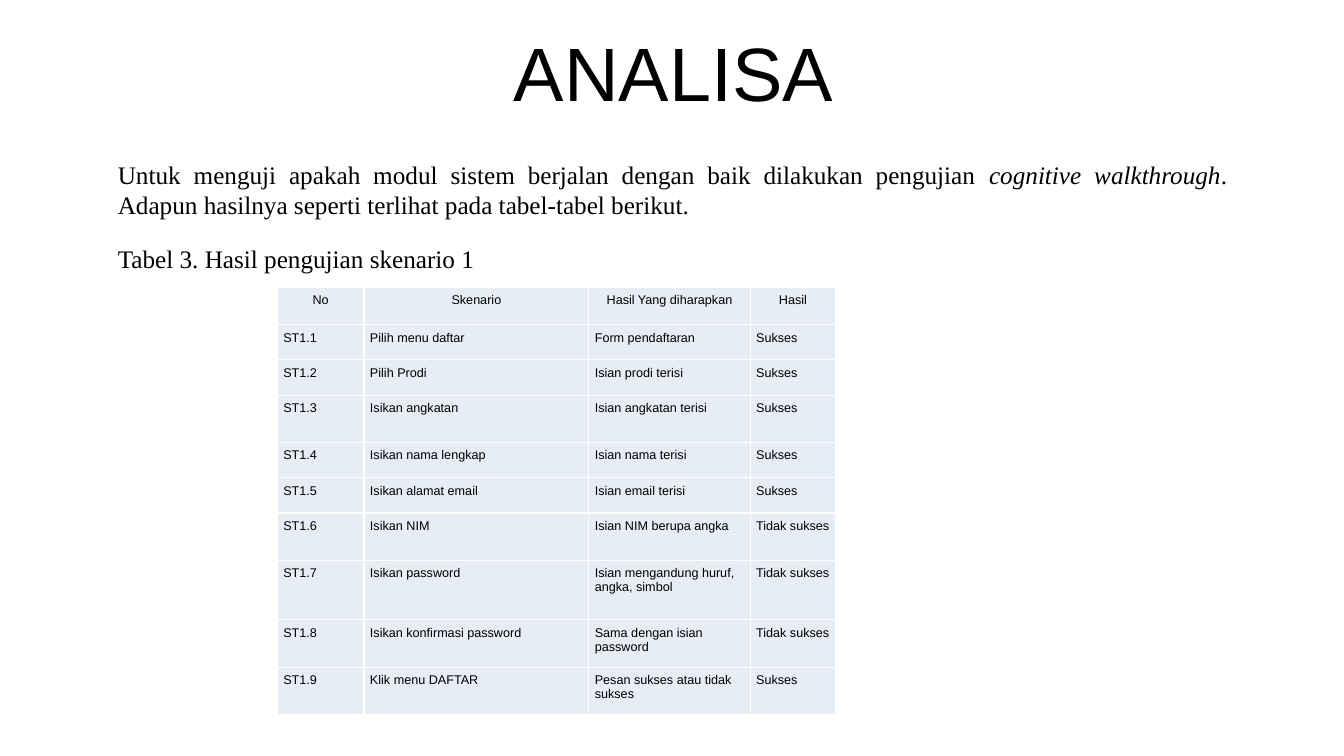
from pptx import Presentation
from pptx.dml.color import RGBColor
from pptx.enum import text as t
from pptx.oxml import parse_xml
from pptx.oxml.ns import nsdecls
from pptx.util import Inches, Pt

COLORS = {"ink": "000000", "cell": "E7EDF5", "edge": "FFFFFF"}
SANS, SERIF = "Arial", "Times New Roman"
COLS = [0.86, 2.23, 1.6, 0.85]
HEADS = ["No", "Skenario", "Hasil Yang diharapkan", "Hasil"]
GOOD, BAD = "Sukses", "Tidak sukses"
TESTS = [
    (0.35, "Pilih menu daftar", "Form pendaftaran", GOOD),
    (0.35, "Pilih Prodi", "Isian prodi terisi", GOOD),
    (0.47, "Isikan angkatan", "Isian angkatan terisi", GOOD),
    (0.35, "Isikan nama lengkap", "Isian nama terisi", GOOD),
    (0.35, "Isikan alamat email", "Isian email terisi", GOOD),
    (0.47, "Isikan NIM", "Isian NIM berupa angka", BAD),
    (0.59, "Isikan password", "Isian mengandung huruf, angka, simbol", BAD),
    (0.47, "Isikan konfirmasi password", "Sama dengan isian password", BAD),
    (0.47, "Klik menu DAFTAR", "Pesan sukses atau tidak sukses", GOOD),
]


def add_run(para, words, size, face, italic=False):
    run = para.add_run()
    run.text = words
    font = run.font
    font.size, font.name, font.italic = Pt(size), face, italic
    font.color.rgb = RGBColor.from_string(COLORS["ink"])


def add_text(slide, box, runs, size, face, align):
    frame = slide.shapes.add_textbox(*map(Inches, box)).text_frame
    frame.word_wrap = True
    para = frame.paragraphs[0]
    para.alignment = align
    for words, italic in runs:
        add_run(para, words, size, face, italic)
    return frame


def add_title(slide, words):
    frame = add_text(slide, (0.35, 0.37, 12.66, 0.79), [(words, False)],
                     54, SANS, t.PP_ALIGN.CENTER)
    frame.vertical_anchor = t.MSO_ANCHOR.MIDDLE
    para = frame.paragraphs[0]
    para.line_spacing = 0.9
    para.space_before = Pt(10)


def set_edges(cell):
    props = cell._tc.get_or_add_tcPr()
    for at, side in enumerate(("lnL", "lnR", "lnT", "lnB")):
        props.insert(at, parse_xml(
            f'<a:{side} {nsdecls("a")} w="{Pt(1)}"><a:solidFill>'
            f'<a:srgbClr val="{COLORS["edge"]}"/></a:solidFill></a:{side}>'))


def fill_cell(cell, words, align):
    cell.fill.solid()
    cell.fill.fore_color.rgb = RGBColor.from_string(COLORS["cell"])
    cell.margin_left = cell.margin_right = Inches(0.06)
    cell.margin_top = cell.margin_bottom = Inches(0.06)
    para = cell.text_frame.paragraphs[0]
    para.alignment = align
    add_run(para, words, 9, SANS)
    set_edges(cell)


def add_grid(slide):
    tests = [(high, f"ST1.{num}", *rest)
             for num, (high, *rest) in enumerate(TESTS, 1)]
    rows = [(0.37, *HEADS), *tests]
    total = sum(row[0] for row in rows)
    box = map(Inches, (2.75, 2.85, sum(COLS), total))
    table = slide.shapes.add_table(len(rows), len(COLS), *box).table
    for col, wide in zip(table.columns, COLS):
        col.width = Inches(wide)
    for r, (high, *words) in enumerate(rows):
        table.rows[r].height = Inches(high)
        align = t.PP_ALIGN.LEFT if r else t.PP_ALIGN.CENTER
        for c, word in enumerate(words):
            fill_cell(table.cell(r, c), word, align)


def main():
    deck = Presentation()
    deck.slide_width, deck.slide_height = Inches(13.33), Inches(7.5)
    slide = deck.slides.add_slide(deck.slide_layouts[6])
    add_title(slide, "ANALISA")
    intro = [
        ("Untuk menguji apakah modul sistem berjalan dengan baik "
         "dilakukan pengujian", False),
        (" cognitive walkthrough", True),
        (". Adapun hasilnya seperti terlihat pada tabel-tabel berikut.", False),
    ]
    add_text(slide, (1.07, 1.53, 11.2, 1.01), intro, 18, SERIF,
             t.PP_ALIGN.JUSTIFY)
    add_grid(slide)
    add_text(slide, (1.07, 2.36, 6.67, 0.71),
             [("Tabel 3. Hasil pengujian skenario 1", False)], 18, SERIF,
             t.PP_ALIGN.JUSTIFY)
    deck.save("out.pptx")


if __name__ == "__main__":
    main()
